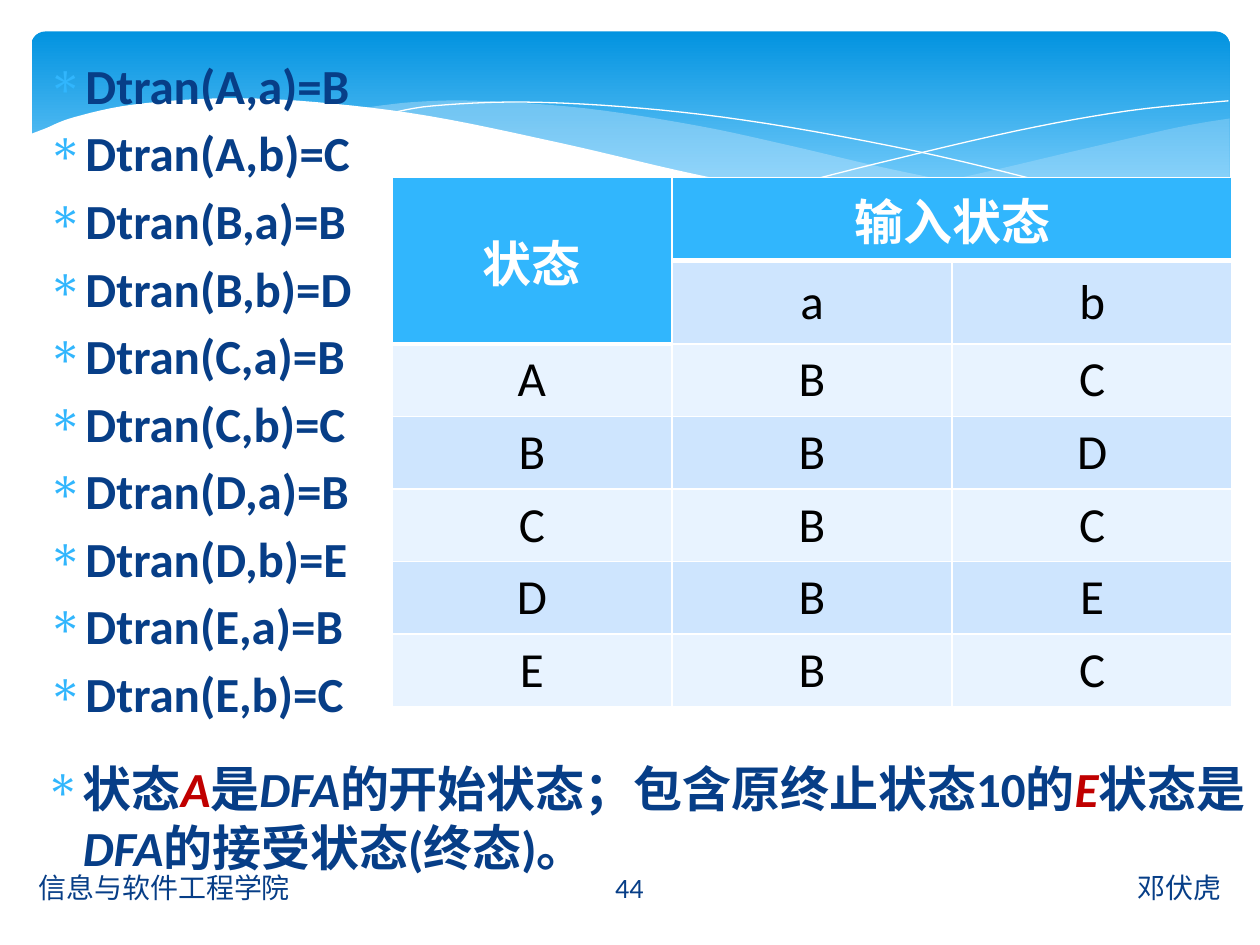
from dataclasses import dataclass

from lxml import etree
from pptx import Presentation
from pptx.dml.color import RGBColor
from pptx.enum.shapes import MSO_SHAPE
from pptx.enum.text import MSO_ANCHOR, PP_ALIGN
from pptx.oxml.ns import qn
from pptx.util import Inches, Pt

ROUNDED = MSO_SHAPE.ROUNDED_RECTANGLE
MIDDLE, TOP = MSO_ANCHOR.MIDDLE, MSO_ANCHOR.TOP
LEFT, CENTER, RIGHT = PP_ALIGN.LEFT, PP_ALIGN.CENTER, PP_ALIGN.RIGHT
COLUMNS, ROWS = 100, 75


@dataclass(frozen=True)
class Theme:
    font: str = "Calibri"
    body_size: int = 28
    footer_size: int = 16
    navy: str = "073E87"
    red: str = "C00000"
    sky: str = "31B6FD"
    white: str = "FFFFFF"
    black: str = "000000"
    band_dark: str = "CEE5FE"
    band_light: str = "E8F3FF"
    wave: str = "C6E7FC"
    banner_top: str = "0293E0"
    banner_bottom: str = "83D3FE"


def color(code):
    return RGBColor.from_string(code)


def smooth(points, steps=6):
    """Points of a Catmull-Rom curve through the given points."""
    padded = [points[0], *points, points[-1]]
    curve = [points[0]]
    for a, b, c, d in zip(padded, padded[1:], padded[2:], padded[3:]):
        for step in range(1, steps + 1):
            t = step / steps
            curve.append(tuple(
                (2 * q + (r - p) * t + (2 * p - 5 * q + 4 * r - s) * t ** 2
                 + (3 * q - p - 3 * r + s) * t ** 3) / 2
                for p, q, r, s in zip(a, b, c, d)))
    return curve


class SlideBuilder:
    def __init__(self, deck, theme):
        self.theme = theme
        self.page = deck.slides.add_slide(deck.slide_layouts[6])
        self.column = deck.slide_width / COLUMNS
        self.row = deck.slide_height / ROWS

    def place(self, left, top, width, height):
        return (round(left * self.column), round(top * self.row),
                round(width * self.column), round(height * self.row))

    def set_font(self, font, size, code, bold=False):
        font.name, font.size, font.bold = self.theme.font, Pt(size), bold
        font.color.rgb = color(code)

    def banner(self, *area):
        shape = self.page.shapes.add_shape(ROUNDED, *self.place(*area))
        shape.adjustments[0] = 0.07
        shape.shadow.inherit = False
        shape.line.fill.background()
        shape.fill.gradient()
        shape.fill.gradient_angle = 270
        first, last = shape.fill.gradient_stops
        first.position, last.position = 0, 0.9
        first.color.rgb = color(self.theme.banner_top)
        last.color.rgb = color(self.theme.banner_bottom)

    def outline(self, points, closed):
        scaled = [(x * self.column, y * self.row) for x, y in points]
        builder = self.page.shapes.build_freeform(*scaled[0])
        builder.add_line_segments(scaled[1:], close=closed)
        shape = builder.convert_to_shape()
        shape.shadow.inherit = False
        return shape

    def area(self, points, code, opacity=100):
        shape = self.outline(points, True)
        shape.line.fill.background()
        shape.fill.solid()
        shape.fill.fore_color.rgb = color(code)
        if opacity < 100:
            tint = shape.fill._xPr.find(".//" + qn("a:srgbClr"))
            etree.SubElement(tint, qn("a:alpha"), val=str(opacity * 1000))

    def curve(self, points):
        shape = self.outline(smooth(points), False)
        shape.fill.background()
        shape.line.color.rgb = color(self.theme.white)
        shape.line.width = 0

    def text_frame(self, area, anchor):
        frame = self.page.shapes.add_textbox(*self.place(*area)).text_frame
        frame.word_wrap = True
        frame.vertical_anchor = anchor
        return frame

    def footer(self, text, left, width, align):
        para = self.text_frame((left, 68.4, width, 4), MIDDLE).paragraphs[0]
        para.text, para.alignment = text, align
        self.set_font(para.font, self.theme.footer_size, self.theme.navy)

    def bullets(self, items, *area):
        """Each item is a list of (text, color, italic) spans."""
        frame = self.text_frame(area, TOP)
        for index, spans in enumerate(items):
            para = frame.add_paragraph() if index else frame.paragraphs[0]
            if index:
                para.space_before = Pt(5)
            props = para._p.get_or_add_pPr()
            props.set("marL", str(Inches(0.3)))
            props.set("indent", str(-Inches(0.3)))
            tint = etree.SubElement(props, qn("a:buClr"))
            etree.SubElement(tint, qn("a:srgbClr"), val=self.theme.sky)
            etree.SubElement(props, qn("a:buChar"), char="∗")
            self.set_font(para.font, self.theme.body_size, self.theme.navy, True)
            for text, code, italic in spans:
                span = para.add_run()
                span.text = text
                self.set_font(span.font, self.theme.body_size, code, True)
                span.font.italic = italic

    def borders(self, cell, bottom):
        props = cell._tc.get_or_add_tcPr()
        for side, width in (("L", 1), ("R", 1), ("T", 1), ("B", bottom)):
            line = etree.SubElement(props, qn("a:ln" + side), w=str(Pt(width)))
            fill = etree.SubElement(line, qn("a:solidFill"))
            etree.SubElement(fill, qn("a:srgbClr"), val=self.theme.white)

    def transition_table(self, rows, heights, *area):
        theme = self.theme
        table = self.page.shapes.add_table(
            len(rows), len(rows[0]), *self.place(*area)).table
        for row, height in zip(table.rows, heights):
            row.height = round(height * self.row)
        for r, values in enumerate(rows):
            for c, value in enumerate(values):
                cell = table.cell(r, c)
                header = r == 0 or (r, c) == (1, 0)
                band = theme.band_dark if r % 2 else theme.band_light
                self.borders(cell, 3 if header else 1)
                cell.fill.solid()
                cell.fill.fore_color.rgb = color(theme.sky if header else band)
                cell.vertical_anchor = MIDDLE
                para = cell.text_frame.paragraphs[0]
                para.text, para.alignment = value, CENTER
                self.set_font(para.font, theme.body_size,
                              theme.white if header else theme.black, header)
        table.cell(0, 0).merge(table.cell(1, 0))
        table.cell(0, 1).merge(table.cell(0, 2))


def draw_background(slide):
    theme = slide.theme
    slide.banner(2.5, 2.5, 95.1, 15.6)
    right_top = [(97.6, 9.4), (93.5, 10.1), (86.1, 11.8), (75.3, 14.3), (66.1, 16)]
    right_bottom = [(66.1, 16), (73.2, 16.8), (81.4, 17.2), (88.9, 16.6),
                    (94.2, 15.2), (97.6, 14.1)]
    slide.area(smooth(right_top) + smooth(right_bottom), theme.wave, 29)
    middle_top = [(89.3, 16.7), (80.7, 15.4), (70.6, 13.4), (62.9, 11.6),
                  (55.5, 10), (46.5, 8.6), (38, 8), (32.8, 8.1), (28.6, 8.6)]
    middle_bottom = [(28.6, 8.6), (36.2, 9.7), (44.9, 11.6), (56.6, 14.3),
                     (66.5, 15.8), (76.1, 17.1), (83.8, 17.2), (89.3, 16.7)]
    slide.area(smooth(middle_top) + smooth(middle_bottom), theme.wave, 40)
    slide.curve([(30.9, 9), (34.4, 8.4), (41.6, 8.1), (51, 8.6),
                 (60.8, 9.8), (72.7, 12), (83.1, 14.5), (90.7, 16.6)])
    slide.curve([(61.3, 15.1), (69.5, 13), (80.6, 10.4), (89.5, 8.8), (97.5, 8)])
    front = [(97.7, 14.1), (92, 15.9), (83.7, 17.1), (74.4, 16.8), (64.8, 15.6),
             (55.5, 13.9), (44.7, 11.4), (34, 9.2), (25, 8.1), (17.7, 7.8),
             (10.6, 8.3), (5.9, 9.3), (3.6, 10.2), (2.3, 10.7)]
    slide.area(smooth(front) + [(2.3, 22.4), (97.7, 22.4)], theme.white)


def main():
    deck = Presentation()
    deck.slide_width, deck.slide_height = Inches(10), Inches(7.5)
    theme = Theme()
    slide = SlideBuilder(deck, theme)
    draw_background(slide)
    slide.footer("邓伏虎", 56.5, 41.4, RIGHT)
    slide.footer("信息与软件工程学院", 2.1, 41.4, LEFT)
    slide.footer("44", 43.6, 12.7, CENTER)

    transitions = {"A": "BC", "B": "BD", "C": "BC", "D": "BE", "E": "BC"}
    slide.bullets(
        [[(f"Dtran({state},{symbol})={target}", theme.navy, False)]
         for state, targets in transitions.items()
         for symbol, target in zip("ab", targets)],
        2.8, 3.9, 36.2, 60.6)
    rows = [["状态", "输入状态", ""], ["", "a", "b"]]
    rows += [[state, *targets] for state, targets in transitions.items()]
    slide.transition_table(rows, [6.6] * 2 + [5.76] * 5, 31.1, 14.1, 66.7, 42)
    slide.bullets(
        [[("状态", theme.navy, False), ("A", theme.red, True),
          ("是", theme.navy, False), ("DFA", theme.navy, True),
          ("的开始状态；包含原终止状态10的", theme.navy, False),
          ("E", theme.red, True), ("状态是", theme.navy, False),
          ("DFA", theme.navy, True), ("的接受状态(终态)。", theme.navy, False)]],
        2.6, 59.7, 97.4, 15.3)
    deck.save("out.pptx")


if __name__ == "__main__":
    main()
